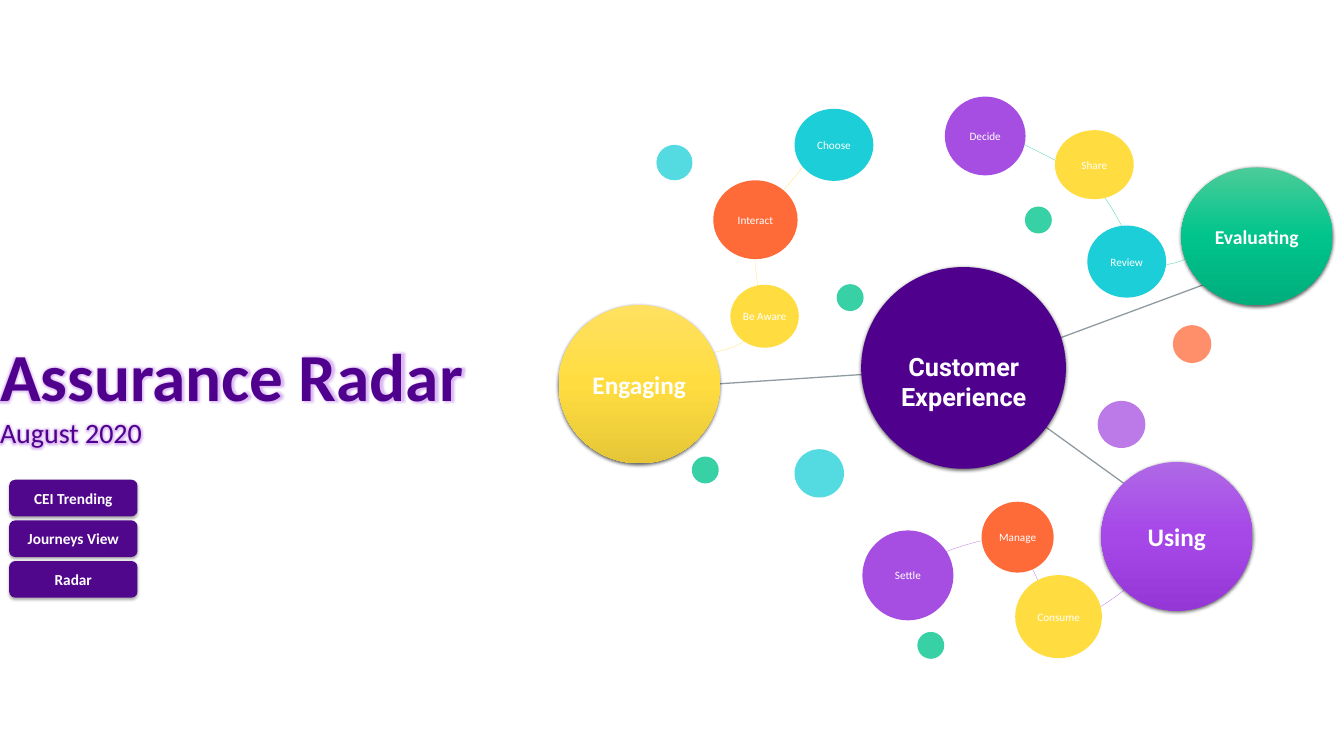
import itertools
import pptx
import pptx.dml.color
import pptx.enum.shapes
import pptx.enum.text
import pptx.oxml
import pptx.oxml.ns
import pptx.util

UNIT = pptx.util.Inches(0.1)
COLUMNS, ROWS = 219.9, 123.7
OVAL = pptx.enum.shapes.MSO_SHAPE.OVAL
ROUNDED = pptx.enum.shapes.MSO_SHAPE.ROUNDED_RECTANGLE
CENTER = pptx.enum.text.PP_ALIGN.CENTER
MIDDLE = pptx.enum.text.MSO_ANCHOR.MIDDLE
TOP = pptx.enum.text.MSO_ANCHOR.TOP
WHITE, INDIGO, GREY = "FFFFFF", "4F008C", "8E9AA0"
YELLOW, ORANGE, CYAN, PURPLE, GREEN = "FFDD40", "FF6A39", "1BCED8", "A54EE1", "00C48C"
HUB_SHADOW, BUTTON_SHADOW = (63, 4.5, 1.5), (32, 3.5, 2.2)

TRAILS = [
    ("FFE24F", [(21.8, 43.3), (26.7, 42.8), (31.6, 42.3), (33.6, 38.9), (35.6, 35.5),
                (32.4, 27.7), (33.9, 22.9), (35.4, 18.1), (41.1, 13.7), (42.7, 10.1)]),
    ("19CE94", [(106.3, 26.3), (103.3, 27.8), (100.3, 29.3), (97.4, 27.4), (94.5, 25.6),
                (92.8, 18.7), (88.9, 15.3), (85, 11.8), (75.2, 7.7), (74, 6.8)]),
    ("AB5AE7", [(96.1, 79.9), (91.7, 83.3), (87.4, 86.8), (83.9, 85.7), (80.4, 84.7),
                (79.2, 75), (75.2, 73.5), (71.2, 72), (62.4, 76.5), (60, 76.9)]),
]
SPOKES = [((67.7, 45.2), (93.9, 64.1)), ((67.7, 45.2), (27.7, 47.8)), ((68.6, 45.8), (106.9, 31.6))]
HUBS = [
    ("Evaluating", 23.1, (103.3, 12.4, 24.7, 22.5), ("4BCC99", GREEN, "00AE7C")),
    ("Using", 29.7, (90.2, 60.6, 24.7, 24.3), ("AF68E6", "A647E8", "9536D7")),
    ("Engaging", 29.7, (1.4, 34.9, 26.4, 25.9), ("FFE061", YELLOW, "E5C637")),
]
STEPS = [
    ("Decide", (64.6, 0.8, 13.2, 12.9), PURPLE),
    ("Share", (82.6, 6.3, 12.9, 11.3), YELLOW),
    ("Review", (87.9, 21.9, 12.9, 11.8), CYAN),
    ("Choose", (40, 2.8, 12.9, 11.8), CYAN),
    ("Interact", (26.7, 14.5, 13.8, 12.9), ORANGE),
    ("Be Aware", (29.5, 31.6, 11.2, 10.3), YELLOW),
    ("Settle", (51.1, 71.8, 14.9, 14.7), PURPLE),
    ("Manage", (70.6, 67.1, 11.8, 11.6), ORANGE),
    ("Consume", (76.1, 79.1, 14.2, 13.6), YELLOW),
]
DOTS = [
    ((40, 58.5, 8.1, 7.9), CYAN, 75),
    ((101.9, 38.2, 6.3, 6.2), ORANGE, 75),
    ((17.4, 8.7, 5.9, 5.8), CYAN, 75),
    ((89.6, 50.6, 7.8, 7.7), PURPLE, 75),
] + [((left, top, 4.4, 4.4), GREEN, 78)
     for left, top in [(46.9, 31.5), (77.7, 18.8), (60.1, 88.4), (23.2, 59.7)]]


def emu(*lengths):
    """Turn grid units into slide lengths."""
    return [round(length * UNIT) for length in lengths]


def place(box, part):
    """Return a part's rectangle on the slide, given relative to a box."""
    return box[0] + part[0], box[1] + part[1], part[2], part[3]


def color(value):
    """Turn a hex string into a colour."""
    return pptx.dml.color.RGBColor.from_string(value)


def element(tag, **attributes):
    """Make a drawing element with the given attributes."""
    node = pptx.oxml.parse_xml(f"<a:{tag} {pptx.oxml.ns.nsdecls('a')}/>")
    for name, value in attributes.items():
        node.set(name, str(value))
    return node


def effect(tag, hex_color, opacity, **attributes):
    """Make a shadow or glow element."""
    node = element(tag, **attributes)
    tint = element("srgbClr", val=hex_color)
    tint.append(element("alpha", val=opacity * 1000))
    node.append(tint)
    return node


def add_run(paragraph, text, size, hex_color=WHITE, bold=False, font="Calibri"):
    """Add one styled run to a paragraph."""
    run = paragraph.add_run()
    run.text = text
    run.font.name, run.font.size, run.font.bold = font, pptx.util.Pt(size), bold
    run.font.color.rgb = color(hex_color)
    return run


def prepare_text(shape, inset=0, anchor=MIDDLE):
    """Set wrapping, margins and anchor, and return the first paragraph."""
    frame = shape.text_frame
    frame.word_wrap, frame.vertical_anchor = True, anchor
    frame.margin_left = frame.margin_right = 0
    frame.margin_top = frame.margin_bottom = pptx.util.Inches(inset)
    return frame.paragraphs[0]


def add_shape(slide, kind, rectangle, hex_color, opacity=100, shadow=None):
    """Add a borderless filled shape with an optional shadow below it."""
    shape = slide.shapes.add_shape(kind, *emu(*rectangle))
    shape.fill.solid()
    shape.fill.fore_color.rgb = color(hex_color)
    shape.line.fill.background()
    shape.shadow.inherit = False
    properties = shape._element.spPr
    if opacity < 100:
        tint = properties.find(".//" + pptx.oxml.ns.qn("a:srgbClr"))
        tint.append(element("alpha", val=opacity * 1000))
    if shadow:
        alpha, blur, distance = shadow
        properties.find(pptx.oxml.ns.qn("a:effectLst")).append(effect(
            "outerShdw", "000000", alpha, blurRad=pptx.util.Pt(blur),
            dist=pptx.util.Pt(distance), dir=5400000, rotWithShape=0))
    return shape


def add_label(shape, text, size, bold=False):
    """Write centred white text in a shape."""
    paragraph = prepare_text(shape)
    paragraph.alignment = CENTER
    add_run(paragraph, text, size, bold=bold)


def shade(shape, colors):
    """Fill a shape with evenly spaced colours from top to bottom."""
    shape.fill.gradient()
    shape.fill.gradient_angle = 270
    stops = shape._element.spPr.find(".//" + pptx.oxml.ns.qn("a:gsLst"))
    for stop in list(stops):
        stops.remove(stop)
    for index, value in enumerate(colors):
        stop = element("gs", pos=index * 100000 // (len(colors) - 1))
        stop.append(element("srgbClr", val=value))
        stops.append(stop)


def bend(shape):
    """Turn every three straight segments of a freeform into one cubic curve."""
    segments = list(shape._element.iter(pptx.oxml.ns.qn("a:lnTo")))
    for start in range(0, len(segments), 3):
        curve = element("cubicBezTo")
        segments[start].addprevious(curve)
        for segment in segments[start:start + 3]:
            curve.append(segment[0])
            segment.getparent().remove(segment)


def add_trail(slide, box, hex_color, controls):
    """Draw a thin open curve through a chain of steps."""
    points = [emu(box[0] + x, box[1] + y) for x, y in controls]
    builder = slide.shapes.build_freeform(*points[0])
    builder.add_line_segments(points[1:], close=False)
    shape = builder.convert_to_shape()
    bend(shape)
    shape.fill.background()
    shape.line.color.rgb, shape.line.width = color(hex_color), pptx.util.Pt(0.25)
    shape.shadow.inherit = False


def add_spoke(slide, box, start, end):
    """Draw a line from the centre to a hub."""
    ends = itertools.chain.from_iterable((box[0] + x, box[1] + y) for x, y in (start, end))
    line = slide.shapes.add_connector(pptx.enum.shapes.MSO_CONNECTOR.STRAIGHT, *emu(*ends))
    line.line.color.rgb, line.line.width = color(GREY), pptx.util.Pt(1.5)
    line._element.spPr.append(element("effectLst"))


def add_title(slide, box):
    """Write the glowing title and its date."""
    paragraph = prepare_text(slide.shapes.add_textbox(*emu(*box)))
    title = add_run(paragraph, "Assurance Radar", 79.2, INDIGO, True)
    paragraph.add_line_break()
    date = add_run(paragraph, "August 2020", 33, INDIGO)
    for run in (title, date):
        effects = element("effectLst")
        effects.append(effect("glow", PURPLE, 40, rad=pptx.util.Pt(5)))
        run.font._element.find(pptx.oxml.ns.qn("a:solidFill")).addnext(effects)


def add_menu(slide, box):
    """Stack the buttons evenly in the box."""
    for row, text in enumerate(("CEI Trending", "Journeys View", "Radar")):
        part = (0, row * (box[3] - 6) / 2, box[2], 6)
        button = add_shape(slide, ROUNDED, place(box, part), "51078C", shadow=BUTTON_SHADOW)
        add_label(button, text, 18, True)


def add_radar(slide, box):
    """Draw the customer experience map with its hubs, steps and dots."""
    for trail in TRAILS:
        add_trail(slide, box, *trail)
    for spoke in SPOKES:
        add_spoke(slide, box, *spoke)
    add_shape(slide, OVAL, place(box, (50.9, 28.7, 33.5, 33)), INDIGO, shadow=HUB_SHADOW)
    center = slide.shapes.add_textbox(*emu(*place(box, (51.9, 42, 31.6, 6))))
    paragraph = prepare_text(center, 0.05, TOP)
    paragraph.alignment = CENTER
    add_run(paragraph, "Customer Experience", 29.7, bold=True, font="Roboto")
    for text, size, part, colors in HUBS:
        hub = add_shape(slide, OVAL, place(box, part), colors[1], shadow=HUB_SHADOW)
        shade(hub, colors)
        add_label(hub, text, size, True)
    for part, hex_color, opacity in DOTS:
        add_shape(slide, OVAL, place(box, part), hex_color, opacity)
    for text, part, hex_color in STEPS:
        add_label(add_shape(slide, OVAL, place(box, part), hex_color), text, 13.2)


def main():
    """Build and save the slide."""
    presentation = pptx.Presentation()
    presentation.slide_width, presentation.slide_height = emu(COLUMNS, ROWS)
    slide = presentation.slides.add_slide(presentation.slide_layouts[6])
    add_title(slide, (0, 49.1, 105.8, 30))
    add_radar(slide, (90, 15, 128, 93))
    add_menu(slide, (1.5, 78.5, 21, 19.3))
    presentation.save("out.pptx")


if __name__ == "__main__":
    main()
